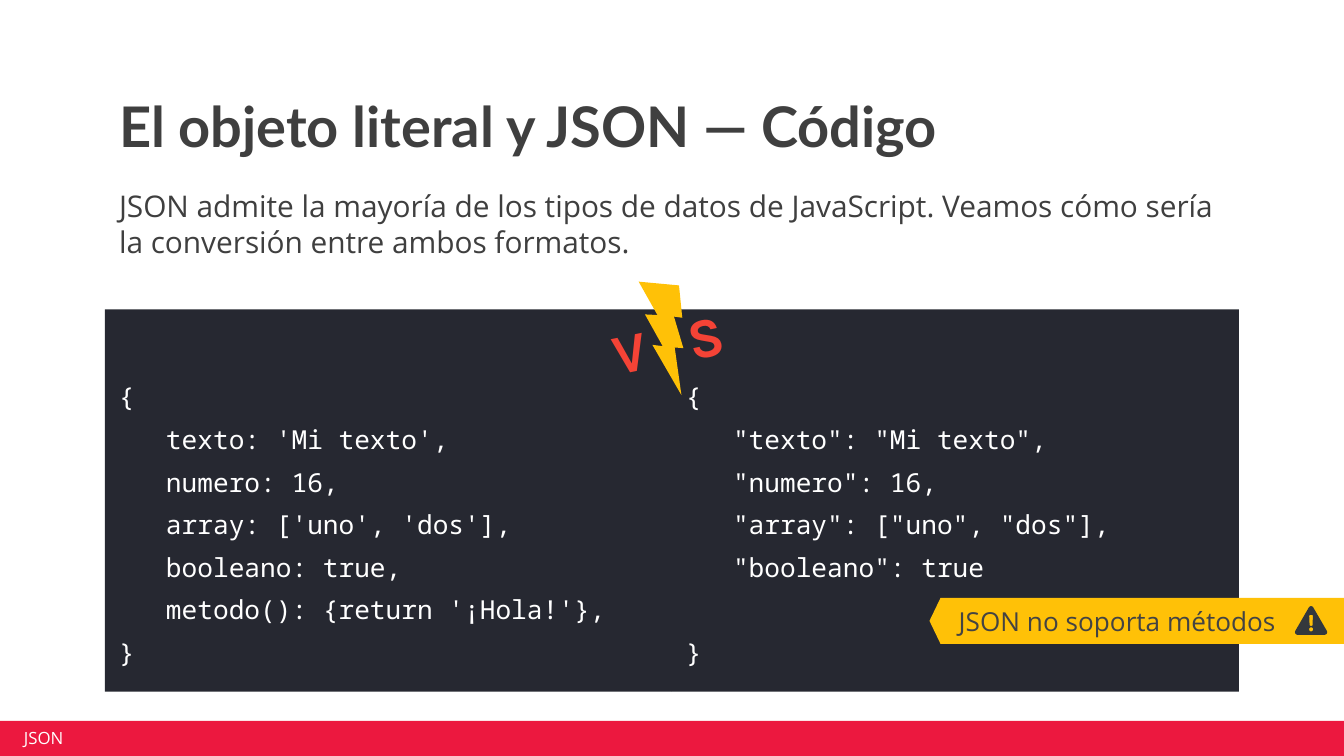
"""Build the slide that compares an object literal with JSON."""
from pptx import Presentation
from pptx.dml.color import RGBColor
from pptx.enum.shapes import MSO_SHAPE
from pptx.enum.text import MSO_ANCHOR, MSO_AUTO_SIZE, PP_ALIGN
from pptx.oxml.ns import qn
from pptx.util import Pt
from lxml import etree

PX = 9525
ICON_SCALE = PX * 0.096
LEFT, CENTER = PP_ALIGN.LEFT, PP_ALIGN.CENTER
TOP, MIDDLE, BOTTOM = MSO_ANCHOR.TOP, MSO_ANCHOR.MIDDLE, MSO_ANCHOR.BOTTOM
NO_FIT = MSO_AUTO_SIZE.NONE
RECTANGLE = MSO_SHAPE.RECTANGLE
BOLT = MSO_SHAPE.LIGHTNING_BOLT
ARROW = MSO_SHAPE.RIGHT_ARROW

WHITE = RGBColor(0xFF, 0xFF, 0xFF)
INK = RGBColor(0x3F, 0x3F, 0x3F)
TAG_INK = RGBColor(0x43, 0x43, 0x43)
ICON_INK = RGBColor(0x33, 0x38, 0x3C)
PANEL = RGBColor(0x26, 0x28, 0x31)
AMBER = RGBColor(0xFF, 0xC1, 0x07)
RED = RGBColor(0xF4, 0x43, 0x36)
CRIMSON = RGBColor(0xEC, 0x18, 0x3F)

TITLE_FONT = {"name": "Lato", "size": Pt(30), "bold": True}
BODY_FONT = {"name": "Open Sans", "size": Pt(16)}
CODE_FONT = {"name": "Noto Sans Mono", "size": Pt(14)}
VERSUS_FONT = {"name": "Karla", "size": Pt(30), "bold": True}
TAG_FONT = {"name": "Open Sans", "size": Pt(14)}
FOOTER_FONT = {"name": "Open Sans", "size": Pt(9)}

LITERAL_CODE = [
    "{",
    "   texto: 'Mi texto',",
    "   numero: 16,",
    "   array: ['uno', 'dos'],",
    "   booleano: true,",
    "   metodo(): {return '¡Hola!'},",
    "}",
]
JSON_CODE = [
    "{",
    '   "texto": "Mi texto",',
    '   "numero": 16,',
    '   "array": ["uno", "dos"],',
    '   "booleano": true',
    "}",
]
WARNING_CONTOURS = [
    [(105, 8), (112, 2), (120, 0), (128, 2), (135, 8), (237, 184), (240, 194),
     (237, 204), (230, 211), (220, 214), (20, 214), (10, 211), (3, 204),
     (0, 194), (3, 184)],
    [(111, 66), (129, 66), (134, 71), (131, 143), (126, 148), (114, 148),
     (109, 143), (106, 71)],
    [(114, 158), (126, 158), (135, 167), (135, 179), (126, 188), (114, 188),
     (105, 179), (105, 167)],
]


def set_values(target, values):
    """Set each attribute of the target from a dict."""
    for name, value in values.items():
        setattr(target, name, value)


def place(shape, box):
    """Move and size a shape with a box in px."""
    names = ("left", "top", "width", "height")
    set_values(shape, {name: value * PX for name, value in zip(names, box)})


def write(shape, lines, font, color, anchor, insets, align=LEFT,
          spacing=1.0, gap=0):
    """Fill a shape with formatted paragraphs."""
    frame = shape.text_frame
    names = ("margin_left", "margin_top", "margin_right", "margin_bottom")
    set_values(frame, {name: value * PX for name, value in zip(names, insets)})
    set_values(frame, {"word_wrap": True, "auto_size": NO_FIT,
                       "vertical_anchor": anchor})
    for index, line in enumerate(lines):
        paragraph = frame.add_paragraph() if index else frame.paragraphs[0]
        paragraph.text = line
        set_values(paragraph, {"alignment": align, "line_spacing": spacing,
                               "space_before": Pt(gap if index else 0)})
        set_values(paragraph.font, font)
        paragraph.font.color.rgb = color


def paint(shape, color):
    """Give a shape a plain fill with no line or shadow."""
    shape.shadow.inherit = False
    shape.fill.solid()
    shape.fill.fore_color.rgb = color
    shape.line.fill.background()


def add_block(slide, kind, box, color):
    """Add a filled preset shape."""
    shape = slide.shapes.add_shape(kind, *(value * PX for value in box))
    paint(shape, color)
    return shape


def add_label(slide, box, text, font, color, insets, align=LEFT):
    """Add a text box with one line at its middle."""
    label = slide.shapes.add_textbox(*(value * PX for value in box))
    write(label, [text], font, color, MIDDLE, insets, align)
    return label


def add_code_panel(slide, left, lines):
    """Add a dark panel of code and return it."""
    panel = add_block(slide, RECTANGLE, (left, 221, 405, 273), PANEL)
    write(panel, lines, CODE_FONT, WHITE, TOP, (10, 51, 10, 10), gap=6)
    return panel


def add_tag(slide, text):
    """Add the tag that points left from the slide edge."""
    tag = add_block(slide, ARROW, (664, 427, 296, 33), AMBER)
    tag.adjustments[0] = 1
    tag.adjustments[1] = 0.24
    tag.element.spPr.find(qn("a:xfrm")).set("flipH", "1")
    write(tag, [text], TAG_FONT, TAG_INK, MIDDLE, (13, 10, 10, 10))


def add_warning(slide, left, top):
    """Add the warning triangle with its exclamation mark cut out."""
    outline, *holes = WARNING_CONTOURS
    builder = slide.shapes.build_freeform(*outline[0], scale=ICON_SCALE)
    builder.add_line_segments(outline[1:])
    for hole in holes:
        builder.move_to(*hole[0])
        builder.add_line_segments(hole[1:])
    paint(builder.convert_to_shape(left * PX, top * PX), ICON_INK)


def remove_bullet(paragraph):
    """Remove the bullet and the hanging indent of a paragraph."""
    properties = paragraph._p.get_or_add_pPr()
    properties.set("marL", "0")
    properties.set("indent", "0")
    etree.SubElement(properties, qn("a:buNone"))


def fill_placeholders(slide):
    """Write the title and the introduction."""
    title, body = slide.placeholders
    place(title, (75, 58, 809, 66))
    write(title, ["El objeto literal y JSON — Código"], TITLE_FONT, INK,
          BOTTOM, (10, 10, 10, 10), spacing=0.9)
    place(body, (75, 124, 809, 51))
    remove_bullet(body.text_frame.paragraphs[0])
    write(body, ["JSON admite la mayoría de los tipos de datos de JavaScript. "
                 "Veamos cómo sería la conversión entre ambos formatos."],
          BODY_FONT, INK, TOP, (10, 10, 10, 10))


def main():
    """Build and save the presentation."""
    presentation = Presentation()
    set_values(presentation, {"slide_width": 960 * PX,
                              "slide_height": 540 * PX})
    slide = presentation.slides.add_slide(presentation.slide_layouts[1])
    fill_placeholders(slide)
    add_code_panel(slide, 75, LITERAL_CODE)
    json_panel = add_code_panel(slide, 480, JSON_CODE)
    json_panel.text_frame.paragraphs[-1].space_before = Pt(29)
    versus = add_label(slide, (393, 188, 168, 113), "V   S", VERSUS_FONT, RED,
                       (0, 0, 0, 0), CENTER)
    versus.rotation = 348.3
    add_block(slide, BOLT, (441, 203, 67, 67), AMBER).rotation = 30
    add_tag(slide, "JSON no soporta métodos")
    add_warning(slide, 925, 433)
    add_block(slide, RECTANGLE, (-2, 515, 963, 26), CRIMSON)
    add_label(slide, (12, 520, 229, 14), "JSON", FOOTER_FONT, WHITE,
              (5, 2, 5, 2))
    presentation.save("out.pptx")


if __name__ == "__main__":
    main()
